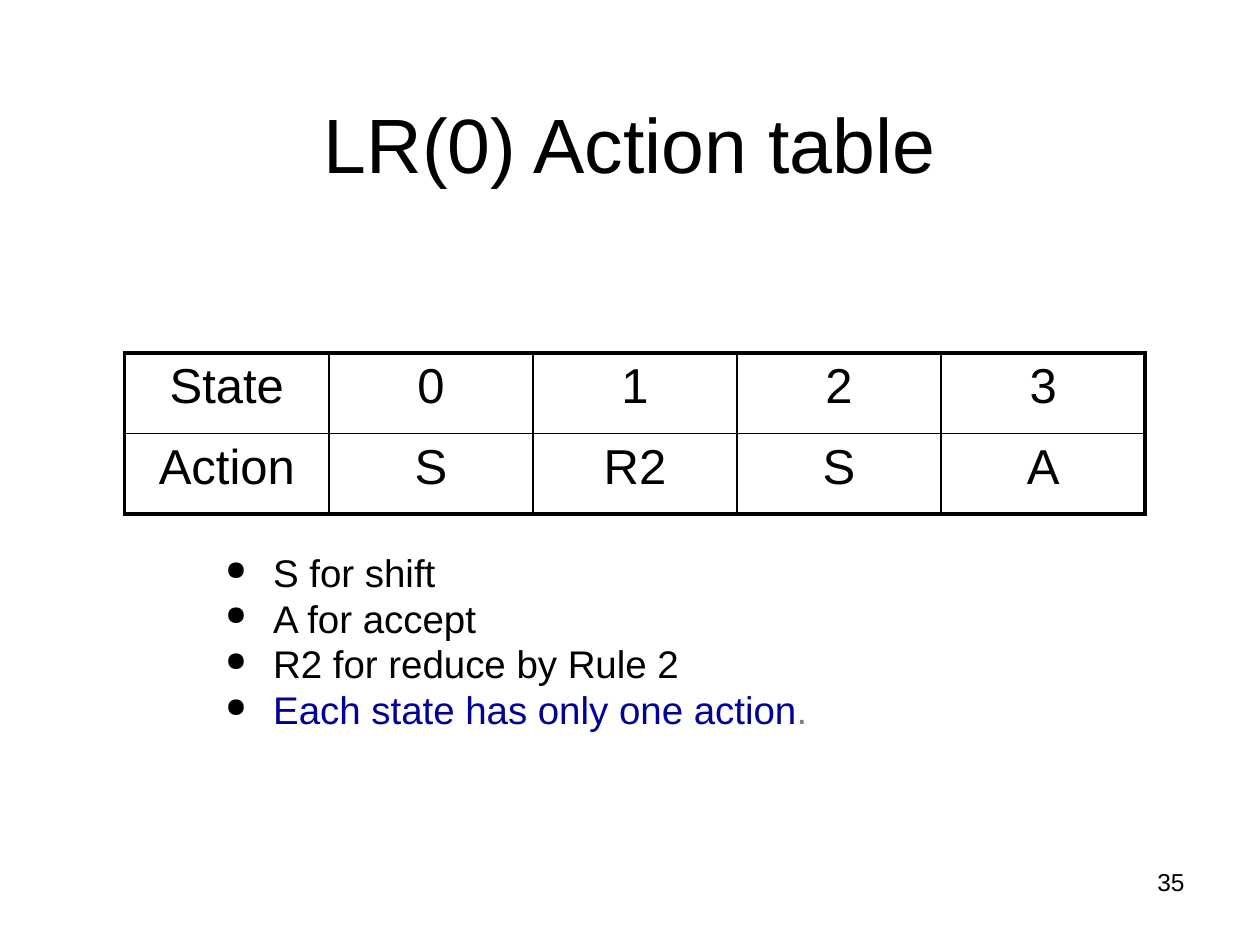
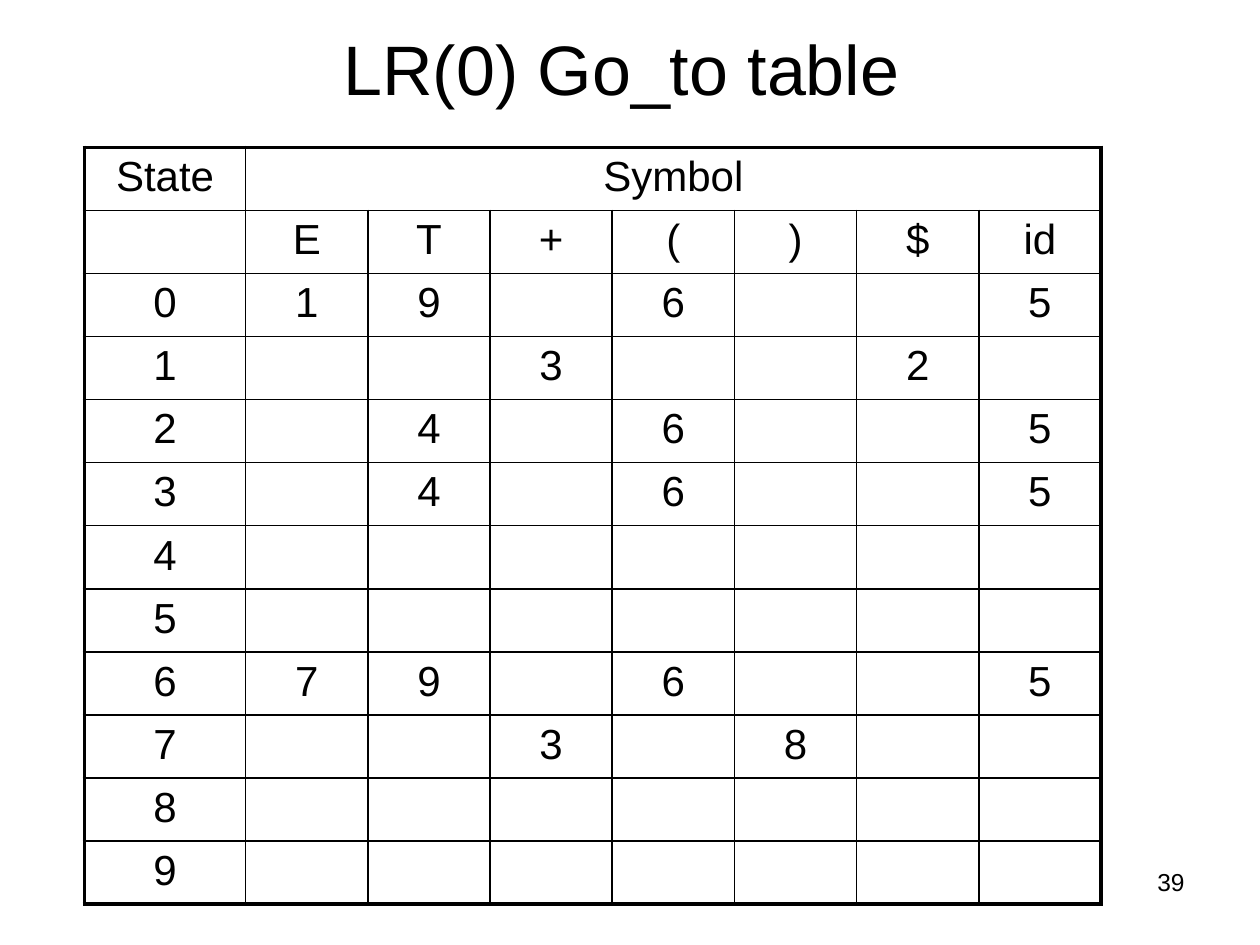
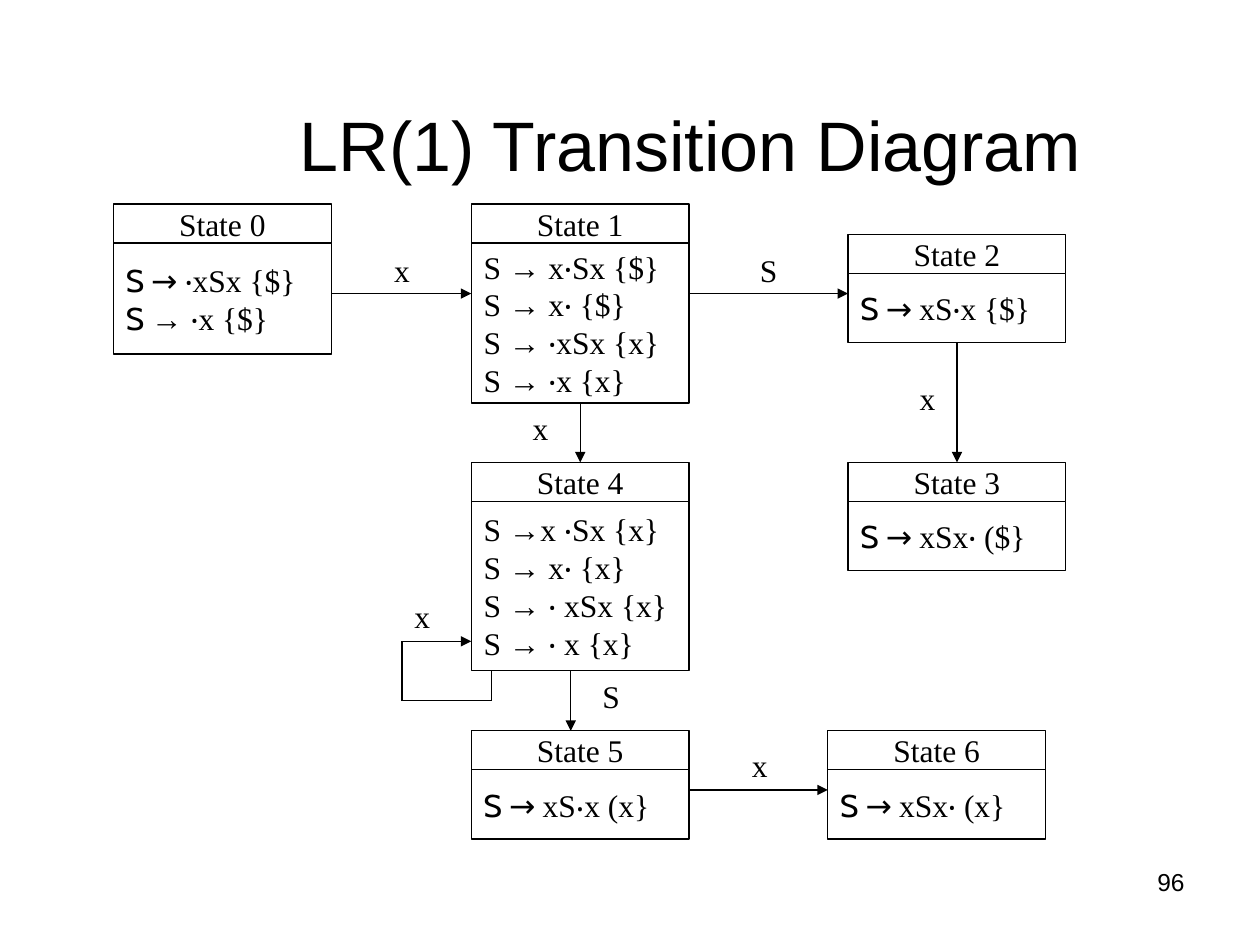
from dataclasses import dataclass

from lxml.etree import SubElement
from pptx import Presentation
from pptx.dml.color import RGBColor
from pptx.enum.shapes import MSO_CONNECTOR, MSO_SHAPE
from pptx.enum.text import MSO_ANCHOR, PP_ALIGN
from pptx.oxml.ns import qn
from pptx.util import Inches, Pt


@dataclass(frozen=True)
class Theme:
    sans: str = "Arial"
    serif: str = "Times New Roman"
    term: str = "Cabin"
    ink: str = "000000"
    paper: str = "FFFFFF"
    blue: str = "000099"
    gray: str = "808080"
    big: float = 44
    head: float = 40
    list: float = 22
    node: float = 18
    page: float = 14
    thin: float = 1
    thick: float = 2.25
    hair: float = 0.75


T = Theme()
MID, LEFT = PP_ALIGN.CENTER, PP_ALIGN.LEFT
WIDE, TALL, CAP = 1.73, 0.55, 0.31  # state width, short body, header


def rgb(code):
    return RGBColor.from_string(code)


def apply(obj, fmt):
    for key, val in fmt.items():
        setattr(obj, key, val)


# Text: a line is a string or a list of (text, format) runs
def put(frame, lines, size, face=T.sans, align=LEFT, **para):
    for i, line in enumerate(lines):
        p = frame.paragraphs[0] if i == 0 else frame.add_paragraph()
        p.alignment = align
        apply(p, para)
        if i == 0:
            p.space_before = Pt(0)
        for text, fmt in [(line, {})] if isinstance(line, str) else line:
            run = p.add_run()
            run.text = text
            apply(run.font, {"name": fmt.get("face", face), "size": Pt(size)})
            run.font.color.rgb = rgb(fmt.get("color", T.ink))


def add_text(slide, at, lines, size, anchor=MSO_ANCHOR.TOP, **para):
    frame = slide.shapes.add_textbox(*map(Inches, at)).text_frame
    apply(frame, {"word_wrap": True, "vertical_anchor": anchor})
    put(frame, lines, size, **para)
    return frame


def add_page(deck, title, at, size, number):
    slide = deck.slides.add_slide(deck.slide_layouts[6])
    add_text(slide, (7.17, 6.83, 2.33, 0.52), [number], T.page,
             align=PP_ALIGN.RIGHT)
    add_text(slide, at, [title], size, MSO_ANCHOR.BOTTOM, align=MID)
    return slide


def add_list(slide, at, lines):
    frame = add_text(slide, at, lines, T.list, line_spacing=0.8,
                     space_before=Pt(5))
    for p in frame.paragraphs:
        props = p._p.get_or_add_pPr()
        props.set("marL", str(Inches(0.38)))
        props.set("indent", str(-Inches(0.38)))
        tint = SubElement(props, qn("a:buClr"))
        SubElement(tint, qn("a:srgbClr"), val=T.ink)
        SubElement(props, qn("a:buSzPct"), val="70000")
        SubElement(props, qn("a:buChar"), char="●")


# Tables: thick outer frame, thin inner rules
def edge(cell, sides):
    props = cell._tc.get_or_add_tcPr()
    for i, (side, outer) in enumerate(sides.items()):
        width = Pt(T.thick if outer else T.thin)
        line = SubElement(props, qn("a:ln" + side), w=str(width))
        fill = SubElement(line, qn("a:solidFill"))
        SubElement(fill, qn("a:srgbClr"), val=T.ink)
        props.insert(i, line)


def add_grid(slide, spot, widths, high, rows, size, spans=()):
    down, wide = len(rows), len(widths)
    box = (*spot, sum(widths), high * down)
    table = slide.shapes.add_table(down, wide, *map(Inches, box)).table
    apply(table, {"first_row": False, "horz_banding": False})
    for col, width in zip(table.columns, widths):
        col.width = Inches(width)
    for row in table.rows:
        row.height = Inches(high)
    for start, end in spans:
        table.cell(*start).merge(table.cell(*end))
    for y, row in enumerate(rows):
        for x, text in enumerate(row):
            cell = table.cell(y, x)
            if cell.is_spanned:
                continue
            cell.fill.background()
            if text:
                put(cell.text_frame, [text], size, align=MID)
            edge(cell, {"L": x == 0, "R": x + cell.span_width == wide,
                        "T": y == 0, "B": y == down - 1})


# Diagram parts
def add_box(slide, at, lines, align=MID, line=T.ink, pad=0.1):
    box = slide.shapes.add_shape(MSO_SHAPE.RECTANGLE, *map(Inches, at))
    box.shadow.inherit = False
    box.fill.solid()
    box.fill.fore_color.rgb = rgb(T.paper)
    box.line.color.rgb = rgb(line)
    box.line.width = Pt(T.hair)
    apply(box.text_frame, {
        "word_wrap": True, "vertical_anchor": MSO_ANCHOR.MIDDLE,
        "margin_left": Inches(pad), "margin_right": Inches(pad)})
    put(box.text_frame, lines, T.node, T.serif, align)
    return box


def add_state(slide, name, x, y, lines, high=TALL):
    head = add_box(slide, (x, y, WIDE, CAP), [f"State {name}"])
    body = add_box(slide, (x, y + CAP, WIDE, high), lines, LEFT)
    return head, body


def add_label(slide, text, x, y):
    add_box(slide, (x, y, 0.32, 0.24), [text], line=T.paper, pad=0)


def add_line(slide, start, end, arrow=True):
    line = slide.shapes.add_connector(
        MSO_CONNECTOR.STRAIGHT, *map(Inches, (*start, *end)))
    line.line.color.rgb = rgb(T.ink)
    line.line.width = Pt(T.hair)
    if arrow:
        SubElement(line.line._get_or_add_ln(), qn("a:tailEnd"),
                   type="triangle")
    SubElement(line._element.spPr, qn("a:effectLst"))
    return line


def join(slide, top, low):
    line = add_line(slide, (0, 0), (1, 1))
    line.begin_connect(top, 2)
    line.end_connect(low, 0)


def rule(text):
    return [("S → ", {"face": T.term}), (text, {})]


# Slides
def add_action(deck):
    slide = add_page(deck, "LR(0) Action table", (0.5, 0.3, 9, 1.25),
                     T.big, "35")
    rows = [["State", "0", "1", "2", "3"], ["Action", "S", "R2", "S", "A"]]
    add_grid(slide, (0.99, 2.8), [1.62] * 5, 0.64, rows, 28)
    add_list(slide, (1.69, 4.38, 7.8, 2.13), [
        "S for shift", "A for accept", "R2 for reduce by Rule 2",
        [("Each state has only one action", {"color": T.blue}),
         (".", {"color": T.gray})]])


def add_goto(deck):
    slide = add_page(deck, "LR(0) Go_to table ", (0.51, 0.28, 9, 0.64),
                     T.head, "39")
    signs = ["E", "T", "+", "(", ")", "$", "id"]
    shift = {"(": "6", "id": "5"}
    moves = {0: {"E": "1", "T": "9", **shift}, 1: {"+": "3", "$": "2"},
             2: {"T": "4", **shift}, 3: {"T": "4", **shift},
             6: {"E": "7", "T": "9", **shift}, 7: {"+": "3", ")": "8"}}
    rows = [["State", "Symbol"] + [""] * 6, ["", *signs]]
    for state in range(10):
        move = moves.get(state, {})
        rows.append([str(state)] + [move.get(sign, "") for sign in signs])
    add_grid(slide, (0.67, 1.17), [1.28] + [0.97] * 7, 0.5, rows, 24,
             [((0, 1), (0, 7))])


def add_graph(deck):
    slide = add_page(deck, "LR(1) Transition Diagram",
                     (1.22, 0.76, 8.52, 0.76), T.head, "96")
    mid, right = 3.74, 6.73
    # States
    add_state(slide, 0, 0.9, 1.62, [
        rule("‧xSx {$}"),
        [("S ", {"face": T.term}), ("→ ‧x {$}", {})]], 0.88)
    _, one = add_state(slide, 1, mid, 1.62, [
        "S → x‧Sx {$}", "S → x‧ {$}", "S → ‧xSx {x}", "S → ‧x {x}"], 1.27)
    _, two = add_state(slide, 2, right, 1.86, [rule("xS‧x {$}")])
    three, _ = add_state(slide, 3, right, 3.67, [rule("xSx‧ ($}")])
    four, _ = add_state(slide, 4, mid, 3.67, [
        "S →x ‧Sx {x}", "S → x‧ {x}", "S → ‧ xSx {x}", "S → ‧ x {x}"], 1.34)
    add_state(slide, 5, mid, 5.8, [
        rule("xS") + [("‧", {"face": T.sans}), ("x (x}", {})]])
    add_state(slide, 6, 6.57, 5.8, [rule("xSx‧ (x}")])
    # Moves between states
    join(slide, one, four)
    join(slide, two, three)
    for start, end in [((2.63, 2.33), (mid, 2.33)),
                       ((5.47, 2.33), (right, 2.33)),
                       ((4.53, 5.32), (4.53, 5.8)),
                       ((5.47, 6.27), (6.57, 6.27))]:
        add_line(slide, start, end)
    # Loop on state 4
    loop = [(3.9, 5.32), (3.9, 5.56), (3.19, 5.56), (3.19, 5.09), (mid, 5.09)]
    for start, end in zip(loop, loop[1:]):
        add_line(slide, start, end, end == loop[-1])
    # Move labels
    for text, x, y in [("x", 4.13, 3.28), ("x", 3.03, 2.02),
                       ("S", 5.94, 2.02), ("x", 7.2, 3.04),
                       ("x", 3.19, 4.77), ("S", 4.69, 5.4),
                       ("x", 5.87, 5.95)]:
        add_label(slide, text, x, y)


def main():
    deck = Presentation()
    apply(deck, {"slide_width": Inches(10), "slide_height": Inches(7.5)})
    for build in (add_action, add_goto, add_graph):
        build(deck)
    deck.save("out.pptx")


if __name__ == "__main__":
    main()
